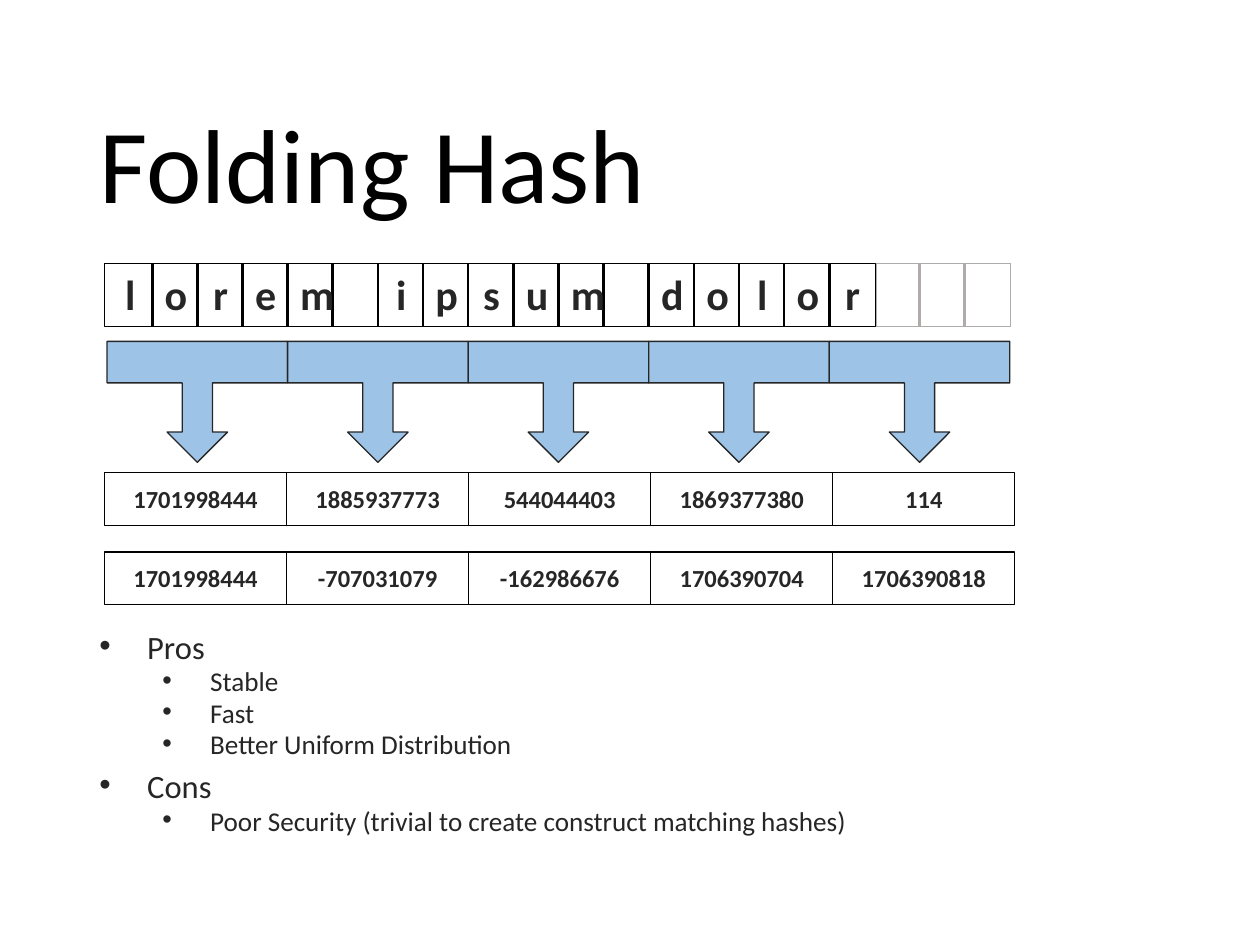
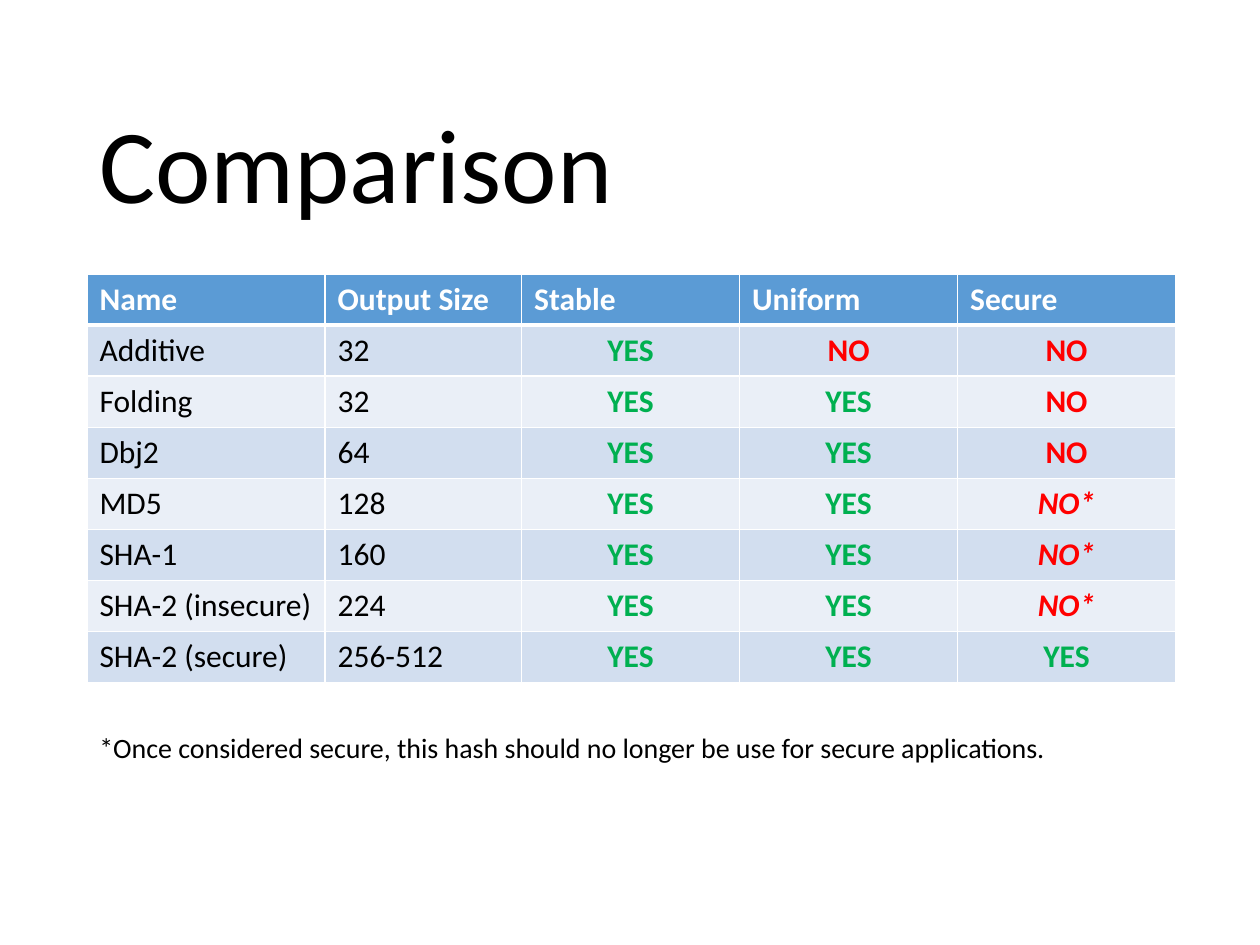
"""Build two slides on hash functions: the folding hash and a comparison table."""
from dataclasses import dataclass
from typing import Any, NamedTuple, Optional

from lxml import etree
from pptx import Presentation
from pptx import util as u
from pptx.dml.color import RGBColor
from pptx.enum import shapes, text
from pptx.oxml import ns

WIDTH, HEIGHT = u.Inches(10), u.Inches(7.5)
FONT = "Calibri"
BLACK, WHITE, INK = "000000", "FFFFFF", "262626"
ARROW_FILL, PALE_LINE = "9DC3E6", "AFABAB"
HEADER_FILL, BANDS = "5B9BD5", ("D2DEEF", "EAEFF7")
YES_GREEN, NO_RED = "00B050", "FF0000"
MARGIN, CONTENT = 0.069, 0.862
CENTER = text.PP_ALIGN.CENTER

MESSAGE = "lorem ipsum dolor"
BLOCKS = 5
LETTERS_PER_BLOCK = 4
BLOCK_VALUES = ("1701998444", "1885937773", "544044403", "1869377380", "114")
RUNNING_SUMS = ("1701998444", "-707031079", "-162986676", "1706390704", "1706390818")

COMPARISON = (
    ("Name", "Output Size", "Stable", "Uniform", "Secure"),
    ("Additive", "32", "YES", "NO", "NO"),
    ("Folding", "32", "YES", "YES", "NO"),
    ("Dbj2", "64", "YES", "YES", "NO"),
    ("MD5", "128", "YES", "YES", "NO*"),
    ("SHA-1", "160", "YES", "YES", "NO*"),
    ("SHA-2 (insecure)", "224", "YES", "YES", "NO*"),
    ("SHA-2 (secure)", "256-512", "YES", "YES", "YES"),
)
COLUMN_WIDTHS = (1.89, 1.56, 1.73, 1.73, 1.73)
FOOTNOTE = "*Once considered secure, this hash should no longer be use for secure applications."


class Box(NamedTuple):
    """A frame in EMU."""
    left: int
    top: int
    width: int
    height: int


@dataclass(frozen=True)
class Grid:
    """A row of equal columns, measured in inches."""
    left: float
    top: float
    column: float
    row: float

    def box(self, column: float, span: float = 1, drop: float = 0, rows: float = 1) -> Box:
        """Return the frame covering some columns and rows."""
        return Box(u.Inches(self.left + column * self.column), u.Inches(self.top + drop * self.row),
                   u.Inches(span * self.column), u.Inches(rows * self.row))


@dataclass(frozen=True)
class Bullet:
    """One item of the bullet list."""
    words: str
    level: int = 0


@dataclass(frozen=True)
class BulletStyle:
    """Format of one bullet level."""
    size: float
    indent: float
    before: float


BLOCK_WIDTH = 1.433
LETTERS = Grid(0.85, 2.09, BLOCK_WIDTH / LETTERS_PER_BLOCK, 0.5)
ARROWS = Grid(0.85, 2.71, BLOCK_WIDTH, 0.96)
VALUES = Grid(0.83, 3.75, 1.445, 0.42)
SUMS = Grid(0.83, 4.38, 1.445, 0.42)
BULLET_STYLES = (BulletStyle(18.6, 0.38, 10), BulletStyle(15.5, 0.88, 5))
BULLETS = (
    Bullet("Pros"), Bullet("Stable", 1), Bullet("Fast", 1),
    Bullet("Better Uniform Distribution", 1),
    Bullet("Cons"), Bullet("Poor Security (trivial to create construct matching hashes)", 1),
)


def rgb(color: str) -> RGBColor:
    """Turn a hex string into a colour."""
    return RGBColor.from_string(color)


def share_box(top: float, height: float) -> Box:
    """Return a frame across the content width, from shares of the slide height."""
    return Box(int(WIDTH * MARGIN), int(HEIGHT * top), int(WIDTH * CONTENT), int(HEIGHT * height))


def set_attributes(target: Any, values: dict[str, Any]) -> None:
    """Set each named attribute on the target."""
    for name, value in values.items():
        setattr(target, name, value)


def write(paragraph: Any, words: str, size: float, color: str, align: Any = None,
          bold: bool = False, italic: bool = False) -> None:
    """Put one formatted run into a paragraph."""
    paragraph.alignment = align
    run = paragraph.add_run()
    run.text = words
    set_attributes(run.font, {"name": FONT, "size": u.Pt(size), "bold": bold, "italic": italic})
    run.font.color.rgb = rgb(color)


def add_text(slide: Any, box: Box, words: str, size: float, color: str, **style: Any) -> None:
    """Add a wrapped one-paragraph text box."""
    frame = slide.shapes.add_textbox(*box).text_frame
    frame.word_wrap = True
    write(frame.paragraphs[0], words, size, color, **style)


def add_box(slide: Any, kind: Any, box: Box, line: str, fill: Optional[str] = None) -> Any:
    """Add a thinly outlined shape, hollow unless a fill is given."""
    shape = slide.shapes.add_shape(kind, *box)
    shape.shadow.inherit = False
    if fill:
        shape.fill.solid()
        shape.fill.fore_color.rgb = rgb(fill)
    else:
        shape.fill.background()
    shape.line.color.rgb = rgb(line)
    shape.line.width = u.Pt(0.75)
    return shape


def add_divider(slide: Any, column: int, color: str) -> None:
    """Draw the line on the left of a letter column."""
    cell = LETTERS.box(column)
    connector = slide.shapes.add_connector(
        shapes.MSO_CONNECTOR.STRAIGHT, cell.left, cell.top, cell.left, cell.top + cell.height)
    connector.line.color.rgb = rgb(color)
    connector.line.width = u.Pt(1.5)
    etree.SubElement(connector._element.spPr, ns.qn("a:effectLst"))


def add_titled_slide(presentation: Any, title: str) -> Any:
    """Add a slide with the shared title style."""
    slide = presentation.slides.add_slide(presentation.slide_layouts[5])
    placeholder = slide.shapes.title
    set_attributes(placeholder, share_box(0.053, 0.193)._asdict())
    frame = placeholder.text_frame
    set_attributes(frame, {"vertical_anchor": text.MSO_ANCHOR.BOTTOM, "word_wrap": True,
                           "auto_size": text.MSO_AUTO_SIZE.NONE})
    paragraph = frame.paragraphs[0]
    paragraph.line_spacing = 0.9
    write(paragraph, title, 60, BLACK, text.PP_ALIGN.LEFT)
    return slide


def add_letters(slide: Any) -> None:
    """Draw the message one letter a cell, with pale padding cells after it."""
    used, total = len(MESSAGE), BLOCKS * LETTERS_PER_BLOCK
    rectangle = shapes.MSO_SHAPE.RECTANGLE
    add_box(slide, rectangle, LETTERS.box(-0.05, used + 0.08), BLACK)
    add_box(slide, rectangle, LETTERS.box(used + 0.05, total - used - 0.04), PALE_LINE)
    for column in range(1, total):
        if column != used:
            add_divider(slide, column, BLACK if column < used else PALE_LINE)
    for column, letter in enumerate(MESSAGE):
        if letter != " ":
            add_text(slide, LETTERS.box(column, 1.03, -0.02), letter, 24, INK,
                     align=CENTER, bold=True)


def add_numbers(slide: Any, grid: Grid, numbers: tuple[str, ...]) -> None:
    """Draw a row of boxed numbers."""
    for column, number in enumerate(numbers):
        add_box(slide, shapes.MSO_SHAPE.RECTANGLE, grid.box(column), BLACK)
        add_text(slide, grid.box(column - 0.06, 1.12, 0.1, 0.8), number, 14, INK,
                 align=CENTER, bold=True)


def add_arrows(slide: Any) -> None:
    """Draw one callout arrow under each block of letters."""
    for block in range(BLOCKS):
        arrow = add_box(slide, shapes.MSO_SHAPE.DOWN_ARROW_CALLOUT, ARROWS.box(block),
                        INK, ARROW_FILL)
        for index, value in enumerate((0.25, 0.25, 0.25, 0.343)):
            arrow.adjustments[index] = value


def add_bullets(slide: Any, box: Box) -> None:
    """Write the two-level list of pros and cons."""
    frame = slide.shapes.add_textbox(*box).text_frame
    frame.word_wrap = True
    for index, bullet in enumerate(BULLETS):
        style = BULLET_STYLES[bullet.level]
        paragraph = frame.add_paragraph() if index else frame.paragraphs[0]
        properties = paragraph._p.get_or_add_pPr()
        properties.set("marL", str(u.Inches(style.indent)))
        properties.set("indent", str(-u.Inches(0.38)))
        etree.SubElement(properties, ns.qn("a:buFont"), typeface="Arial")
        etree.SubElement(properties, ns.qn("a:buChar"), char="•")
        set_attributes(paragraph, {"level": bullet.level, "line_spacing": 0.7,
                                   "space_before": u.Pt(style.before if index else 0)})
        write(paragraph, bullet.words, style.size, INK)


def set_borders(cell: Any, header: bool, below_header: bool) -> None:
    """Give a cell white borders, thicker under the header."""
    widths = {"lnL": 1, "lnR": 1, "lnT": 3 if below_header else 1, "lnB": 3 if header else 1}
    for side, width in widths.items():
        line = etree.SubElement(cell._tc.get_or_add_tcPr(), ns.qn(f"a:{side}"), w=str(u.Pt(width)))
        fill = etree.SubElement(line, ns.qn("a:solidFill"))
        etree.SubElement(fill, ns.qn("a:srgbClr"), val=WHITE)


def cell_style(words: str, header: bool) -> dict[str, Any]:
    """Choose the text format that fits a cell."""
    if header:
        return {"color": WHITE, "bold": True}
    if words.startswith(("YES", "NO")):
        return {"color": YES_GREEN if words == "YES" else NO_RED, "align": CENTER,
                "bold": True, "italic": words.endswith("*")}
    return {"color": BLACK}


def add_comparison(slide: Any, box: Box) -> None:
    """Add the table of hash functions."""
    table = slide.shapes.add_table(len(COMPARISON), len(COLUMN_WIDTHS), *box).table
    for column, width in zip(table.columns, COLUMN_WIDTHS):
        column.width = u.Inches(width)
    for row, values in enumerate(COMPARISON):
        for column, words in enumerate(values):
            cell = table.cell(row, column)
            set_borders(cell, row == 0, row == 1)
            cell.fill.solid()
            cell.fill.fore_color.rgb = rgb(BANDS[(row - 1) % 2] if row else HEADER_FILL)
            write(cell.text_frame.paragraphs[0], words, 18, **cell_style(words, row == 0))


def main() -> None:
    """Build and save the presentation."""
    presentation = Presentation()
    set_attributes(presentation, {"slide_width": WIDTH, "slide_height": HEIGHT})

    folding = add_titled_slide(presentation, "Folding Hash")
    add_letters(folding)
    add_numbers(folding, VALUES, BLOCK_VALUES)
    add_arrows(folding)
    add_numbers(folding, SUMS, RUNNING_SUMS)
    add_bullets(folding, share_box(0.668, 0.233))

    comparison = add_titled_slide(presentation, "Comparison")
    add_comparison(comparison, share_box(0.29, 0.432))
    add_text(comparison, share_box(0.767, 0.05), FOOTNOTE, 16, BLACK)

    presentation.save("out.pptx")


if __name__ == "__main__":
    main()
